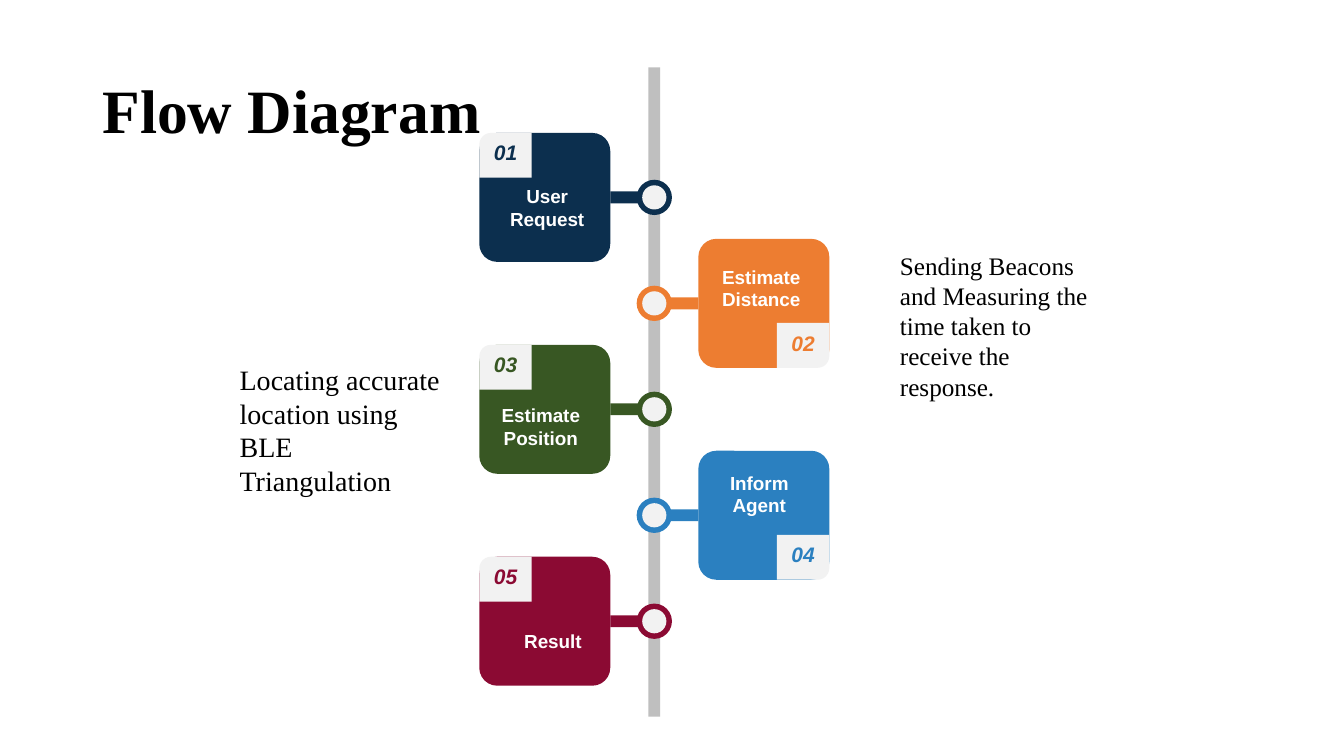
import pptx
import pptx.dml.color
import pptx.enum.shapes
import pptx.enum.text
import pptx.oxml.ns
import pptx.util

Cm = pptx.util.Cm
RGBColor = pptx.dml.color.RGBColor
SHAPE = pptx.enum.shapes.MSO_SHAPE
ALIGN = pptx.enum.text.PP_ALIGN
ANCHOR = pptx.enum.text.MSO_ANCHOR

BLACK = RGBColor(0x00, 0x00, 0x00)
WHITE = RGBColor(0xFF, 0xFF, 0xFF)
PALE = RGBColor(0xF2, 0xF2, 0xF2)
GREY = RGBColor(0xBF, 0xBF, 0xBF)
NAVY = RGBColor(0x0C, 0x2F, 0x4E)
ORANGE = RGBColor(0xED, 0x7D, 0x31)
GREEN = RGBColor(0x38, 0x57, 0x23)
BLUE = RGBColor(0x2B, 0x80, 0xC0)
CRIMSON = RGBColor(0x8B, 0x0A, 0x33)

SERIF = "Times New Roman"
SANS = "Arial"

CARD_WIDTH, CARD_HEIGHT = 3.3, 3.25
BADGE_WIDTH, BADGE_HEIGHT = 1.32, 1.13
RING, HOLE = 0.89, 0.61
BAR = 0.3
STEP_PITCH = 2.67
FIRST_CARD = 1.65

STEPS = [
    ("User Request", NAVY, (0.15, 1.17, 3.12, 1.42)),
    ("Estimate Distance", ORANGE, (0.2, 0.53, 2.77, 1.42)),
    ("Estimate Position", GREEN, (-0.1, 1.35, 3.3, 1.42)),
    ("Inform Agent", BLUE, (0.48, 0.38, 2.11, 1.42)),
    ("Result", CRIMSON, (0.8, 1.7, 2.11, 0.84)),
]
NOTES = [
    ("Sending Beacons and Measuring the time taken to receive the response.",
     18, (22.43, 6.15, 5.66, 4.11)),
    ("Locating accurate location using BLE Triangulation",
     20, (5.79, 8.99, 5.66, 3.68)),
]


def add_block(slide, preset, left, top, width, height, color):
    shape = slide.shapes.add_shape(preset, Cm(left), Cm(top), Cm(width), Cm(height))
    shape.shadow.inherit = False
    shape.fill.solid()
    shape.fill.fore_color.rgb = color
    shape.line.fill.background()
    return shape


def format_text(text_frame, text, font_name, size, color, bold=False,
                italic=False, align=ALIGN.LEFT):
    text_frame.text = text
    text_frame.vertical_anchor = ANCHOR.MIDDLE
    paragraph = text_frame.paragraphs[0]
    paragraph.alignment = align
    font = paragraph.runs[0].font
    font.name = font_name
    font.size = pptx.util.Pt(size)
    font.bold = bold
    font.italic = italic
    font.color.rgb = color


def add_text(slide, box, text, font_name, size, color, wrap=True, **style):
    shape = slide.shapes.add_textbox(*map(Cm, box))
    format_text(shape.text_frame, text, font_name, size, color, **style)
    shape.text_frame.word_wrap = wrap


def add_title(slide, left, top, width, height):
    title = slide.shapes.title
    title.left, title.top, title.width, title.height = map(Cm, (left, top, width, height))
    format_text(title.text_frame, "Flow Diagram", SERIF, 44, BLACK, bold=True)
    title.text_frame.paragraphs[0].line_spacing = 0.9


def add_badge(slide, left, top, number, color, flip):
    badge = add_block(slide, SHAPE.ROUND_1_RECTANGLE, left, top,
                      BADGE_WIDTH, BADGE_HEIGHT, PALE)
    badge.adjustments[0] = 0.26
    badge._element.spPr.find(pptx.oxml.ns.qn("a:xfrm")).set(flip, "1")
    add_text(slide, (left + 0.1, top + 0.05, BADGE_WIDTH - 0.2, 0.89),
             f"{number:02d}", SANS, 15, color, wrap=False,
             bold=True, italic=True, align=ALIGN.CENTER)


def add_step(slide, left, top, width, number, label, color, label_box):
    on_right = number % 2 == 0
    axis = left + width / 2
    middle = top + CARD_HEIGHT / 2
    card_left = left + width - CARD_WIDTH if on_right else left
    arm_left = axis if on_right else left + CARD_WIDTH
    arm_width = width / 2 - CARD_WIDTH

    add_block(slide, SHAPE.RECTANGLE, arm_left, middle - BAR / 2, arm_width, BAR, color)
    for diameter, fill in ((RING, color), (HOLE, PALE)):
        add_block(slide, SHAPE.OVAL, axis - diameter / 2, middle - diameter / 2,
                  diameter, diameter, fill)
    card = add_block(slide, SHAPE.ROUNDED_RECTANGLE, card_left, top,
                     CARD_WIDTH, CARD_HEIGHT, color)
    card.adjustments[0] = 0.139
    if on_right:
        add_badge(slide, card_left + CARD_WIDTH - BADGE_WIDTH,
                  top + CARD_HEIGHT - BADGE_HEIGHT, number, color, "flipV")
    else:
        add_badge(slide, card_left, top, number, color, "flipH")
    label_left, label_top, label_width, label_height = label_box
    add_text(slide, (card_left + label_left, top + label_top, label_width, label_height),
             label, SANS, 13.5, WHITE, bold=True, align=ALIGN.CENTER)


def add_timeline(slide, left, top, width, height):
    add_block(slide, SHAPE.RECTANGLE, left + (width - BAR) / 2, top, BAR, height, GREY)
    for index, (label, color, label_box) in enumerate(STEPS):
        add_step(slide, left, top + FIRST_CARD + index * STEP_PITCH, width,
                 index + 1, label, color, label_box)


def main():
    presentation = pptx.Presentation()
    presentation.slide_width = Cm(33.87)
    presentation.slide_height = Cm(19.05)
    slide = presentation.slides.add_slide(presentation.slide_layouts[5])
    add_title(slide, 2.33, 1.01, 29.21, 3.68)
    for text, size, box in NOTES:
        add_text(slide, box, text, SERIF, size, BLACK)
    add_timeline(slide, 12.08, 1.7, 8.82, 16.36)
    presentation.save("out.pptx")


if __name__ == "__main__":
    main()
